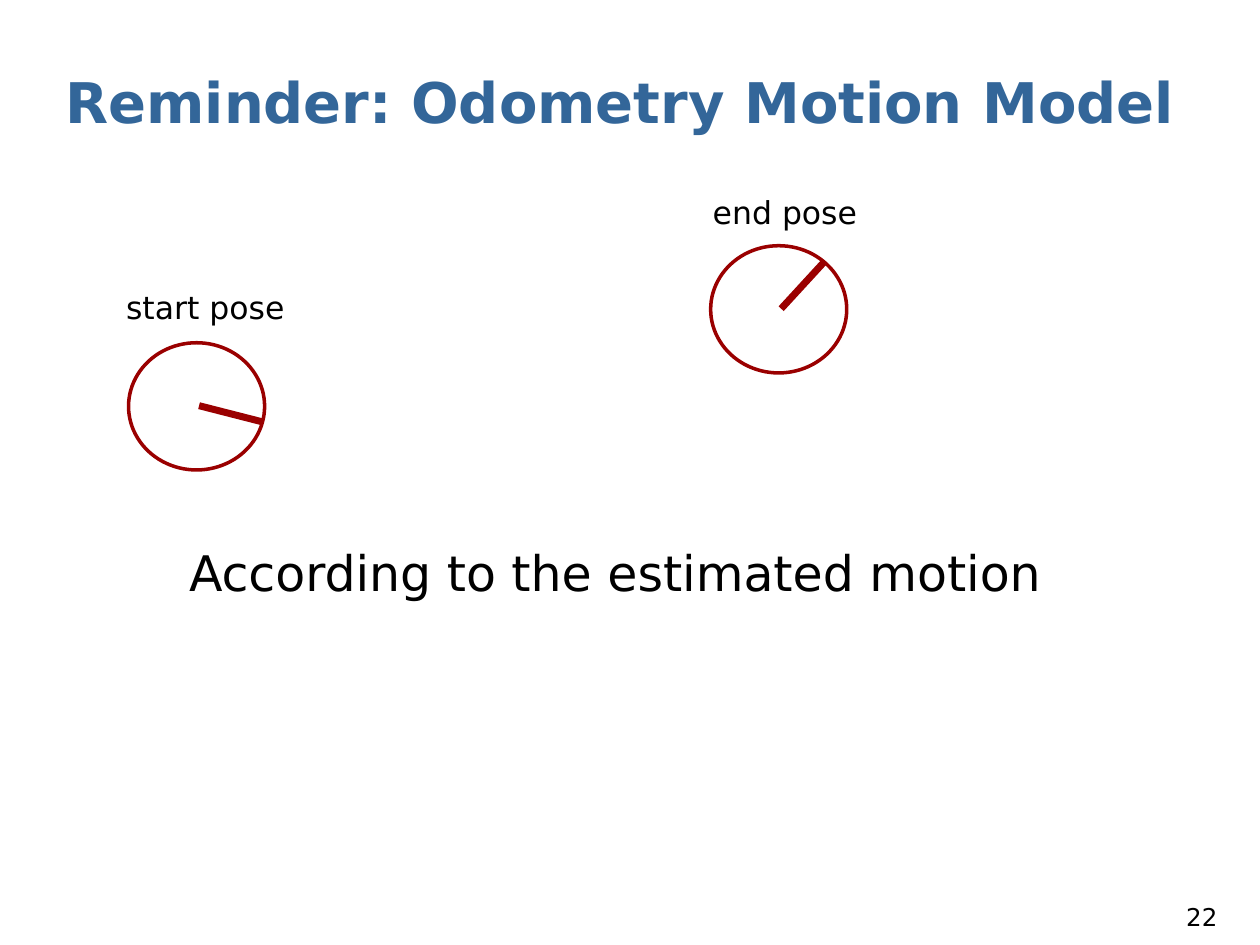
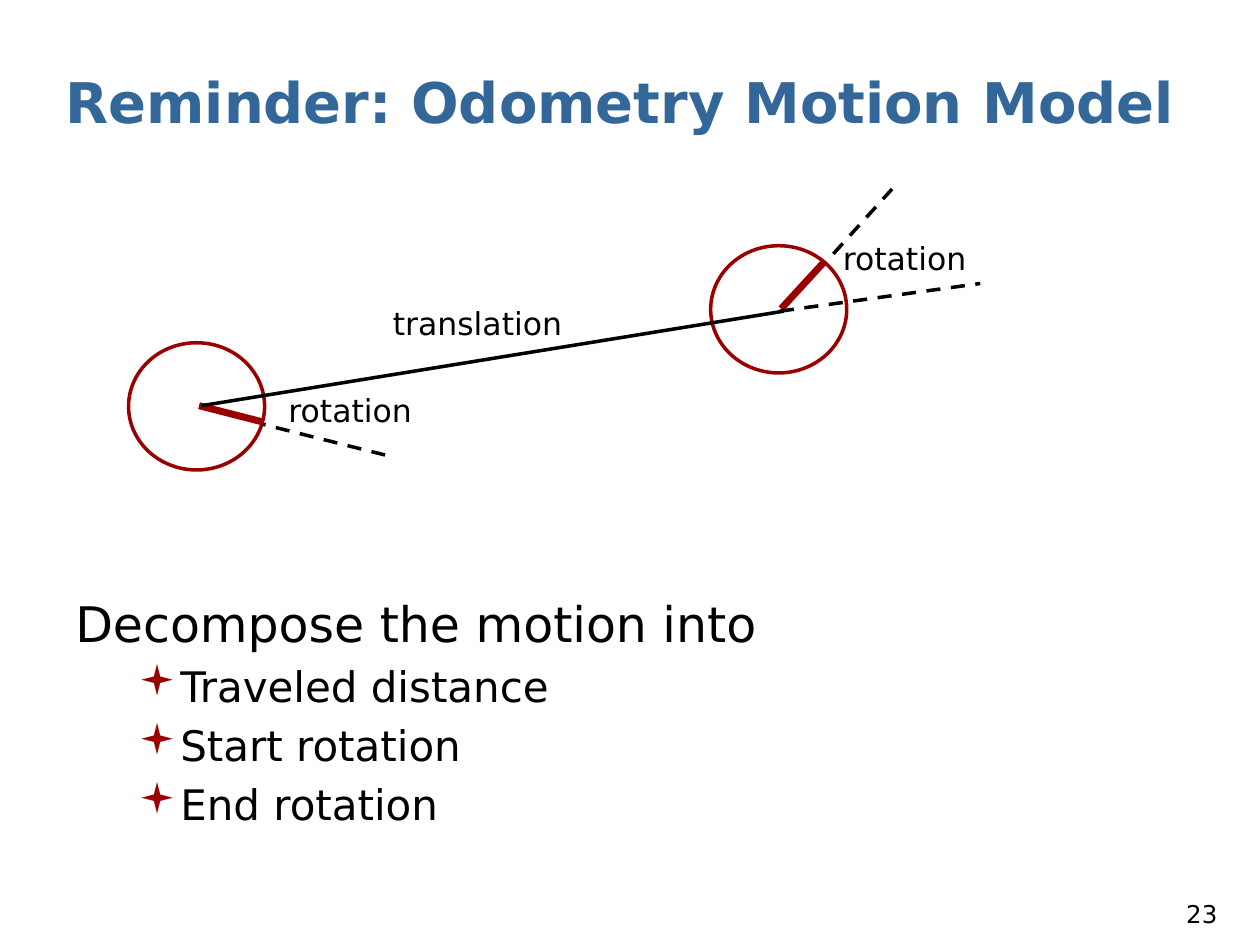
from lxml import etree
from pptx import Presentation
from pptx.dml.color import RGBColor
from pptx.enum.dml import MSO_LINE_DASH_STYLE as Dash
from pptx.enum.shapes import MSO_CONNECTOR as Connector, MSO_SHAPE as Shape
from pptx.enum.text import MSO_ANCHOR as Anchor, PP_ALIGN as Align
from pptx.oxml.ns import qn
from pptx.util import Inches, Pt

FONT = "DejaVu Sans"
TITLE_BLUE, ROBOT_RED, BLACK, WHITE = "336699", "9A0000", "000000", "FFFFFF"
TITLE = "Reminder: Odometry Motion Model"

# Left and top of each robot, and the offset from its centre to its front
START_POSE = (1.02, 2.72), (0.51, 0.13)
END_POSE = (5.64, 1.95), (0.34, -0.37)


def color(hex_code):
    return RGBColor.from_string(hex_code)


def write(paragraph, text, size=18, fill=BLACK, bold=False, align=Align.LEFT,
          line_spacing=None, space_before=0):
    paragraph.alignment = align
    paragraph.line_spacing = line_spacing
    paragraph.space_before = Pt(space_before)
    run = paragraph.add_run()
    run.text = text
    run.font.name = FONT
    run.font.size = Pt(size)
    run.font.bold = bold
    run.font.color.rgb = color(fill)


def add_frame(slide, left, top, width, height, anchor=Anchor.TOP):
    box = slide.shapes.add_textbox(*map(Inches, (left, top, width, height)))
    frame = box.text_frame
    frame.word_wrap = True
    frame.vertical_anchor = anchor
    return frame


def add_text(slide, text, left, top, width, height, anchor=Anchor.TOP, **style):
    frame = add_frame(slide, left, top, width, height, anchor)
    write(frame.paragraphs[0], text, **style)


def add_label(slide, text, left, top, width=1.64, height=0.38, size=18):
    add_text(slide, text, left, top, width, height, size=size,
             align=Align.CENTER, line_spacing=0.9)


def add_line(slide, start, end, stroke=BLACK, weight=2, dashed=False):
    line = slide.shapes.add_connector(
        Connector.STRAIGHT, *map(Inches, (*start, *end)))
    line.line.color.rgb = color(stroke)
    line.line.width = Pt(weight)
    if dashed:
        line.line.dash_style = Dash.DASH
    properties = line._element.find(qn("p:spPr"))
    etree.SubElement(properties, qn("a:effectLst"))


def add_robot(slide, corner, heading):
    """Draw a round robot with a thick stroke from its centre to its front."""
    left, top = corner
    body = slide.shapes.add_shape(
        Shape.OVAL, *map(Inches, (left, top, 1.08, 1.01)))
    body.shadow.inherit = False
    body.fill.solid()
    body.fill.fore_color.rgb = color(WHITE)
    body.line.color.rgb = color(ROBOT_RED)
    body.line.width = Pt(2)
    center = left + 0.56, top + 0.5
    front = center[0] + heading[0], center[1] + heading[1]
    add_line(slide, center, front, ROBOT_RED, 4)


def add_bullet(paragraph, indent=0.81, hanging=0.31):
    properties = paragraph._p.get_or_add_pPr()
    properties.set("marL", str(Inches(indent)))
    properties.set("indent", str(-Inches(hanging)))
    bullet_color = etree.SubElement(properties, qn("a:buClr"))
    etree.SubElement(bullet_color, qn("a:srgbClr"), val=ROBOT_RED)
    etree.SubElement(properties, qn("a:buFont"), typeface="Wingdings")
    etree.SubElement(properties, qn("a:buChar"), char="▪")


def add_slide(presentation, number, number_top):
    """Add a blank slide with the shared title and its page number."""
    slide = presentation.slides.add_slide(presentation.slide_layouts[6])
    add_text(slide, TITLE, 0.42, 0.48, 9.42, 0.64, anchor=Anchor.BOTTOM,
             size=32, fill=TITLE_BLUE, bold=True)
    add_text(slide, str(number), 7.67, number_top, 2.09, 0.29,
             anchor=Anchor.BOTTOM, size=14, align=Align.RIGHT)
    return slide


def build_poses(presentation):
    slide = add_slide(presentation, 22, 7.15)
    for pose in (START_POSE, END_POSE):
        add_robot(slide, *pose)
    add_label(slide, "start pose", 0.81, 2.27)
    add_label(slide, "end pose", 5.41, 1.52)
    add_label(slide, "According to the estimated motion",
              1.36, 4.31, 7.04, 0.53, size=28)


def build_decomposition(presentation):
    slide = add_slide(presentation, 23, 7.13)
    add_line(slide, (6.22, 2.45), (7.08, 1.5), dashed=True)
    add_line(slide, (1.62, 3.25), (3.09, 3.62), dashed=True)
    for pose in (START_POSE, END_POSE):
        add_robot(slide, *pose)
    add_line(slide, (1.6, 3.22), (6.22, 2.47))
    add_label(slide, "rotation", 2.03, 3.09, 1.5, 0.34)
    add_label(slide, "translation", 2.97, 2.4)
    add_label(slide, "rotation", 6.43, 1.88, 1.5, 0.34)
    add_line(slide, (6.19, 2.47), (7.78, 2.25), dashed=True)

    body = add_frame(slide, 0.5, 4.66, 9.33, 2.36)
    write(body.paragraphs[0], "Decompose the motion into", size=28)
    for part in ("Traveled distance", "Start rotation", "End rotation"):
        paragraph = body.add_paragraph()
        paragraph.level = 1
        write(paragraph, part, size=24, space_before=4.8)
        add_bullet(paragraph)


def main():
    presentation = Presentation()
    presentation.slide_width = Inches(10)
    presentation.slide_height = Inches(7.5)
    build_poses(presentation)
    build_decomposition(presentation)
    presentation.save("out.pptx")


if __name__ == "__main__":
    main()
